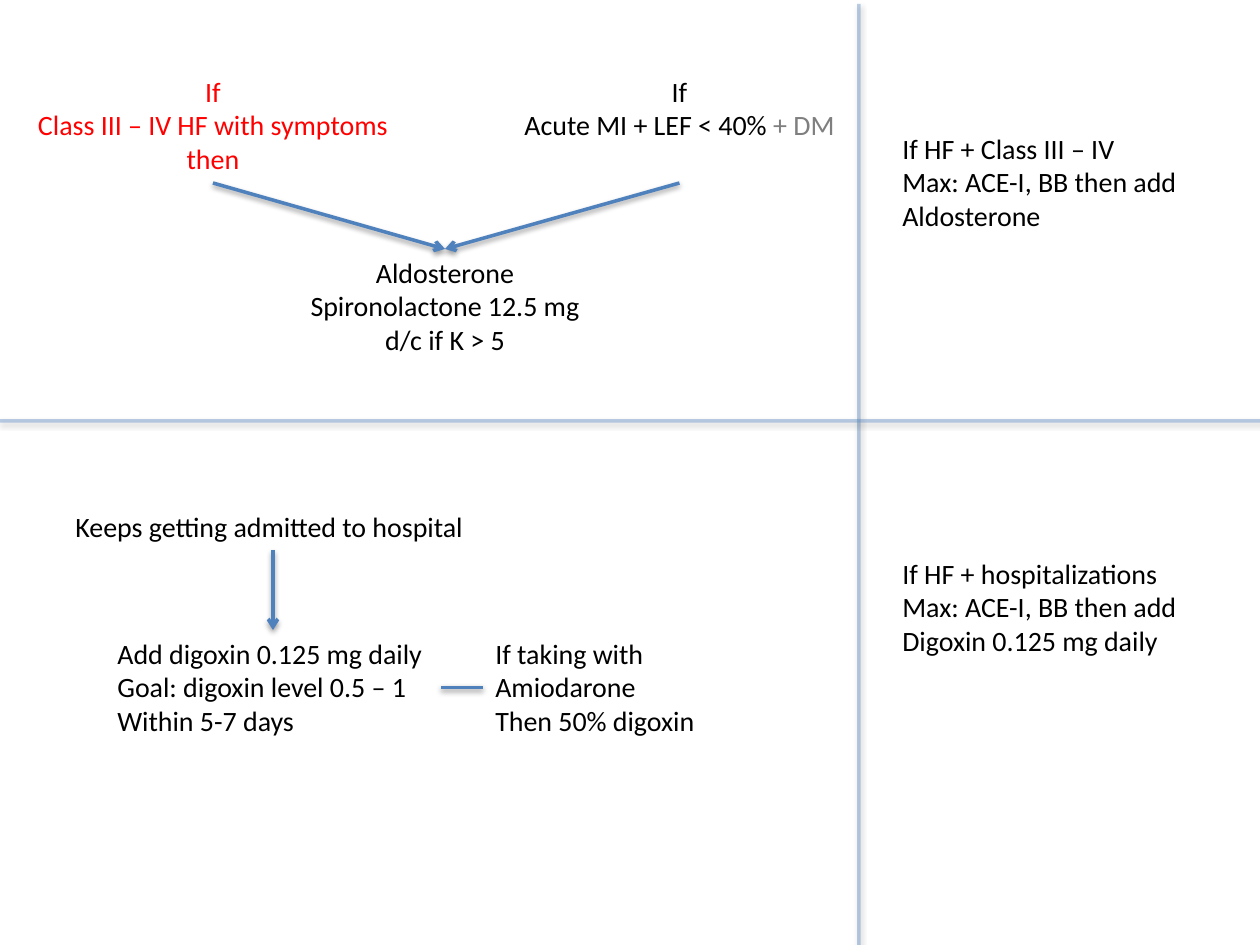
from lxml import etree
from pptx import Presentation, util as u
from pptx.dml.color import RGBColor
from pptx.enum import shapes, text
from pptx.oxml import parse_xml
from pptx.oxml.ns import nsdecls, qn

PX = 914400 / 126
TOP, LEFT, BOTTOM, RIGHT = 0, 1, 2, 3
BLACK, RED, GREY, BLUE = "000000", "FF0000", "7F7F7F", "4F81BD"
SHADOW = (
    f'<a:effectLst {nsdecls("a")}>'
    '<a:outerShdw blurRad="40000" dist="20000" dir="5400000" rotWithShape="0">'
    '<a:srgbClr val="000000"><a:alpha val="38000"/></a:srgbClr>'
    '</a:outerShdw></a:effectLst>'
)


def px(n):
    return u.Emu(round(n * PX))


def rgb(value):
    return RGBColor.from_string(value)


class Board:
    """Holds the text and line style together with the current slide."""

    font = {"name": "Calibri", "size": u.Pt(16)}
    line_width = u.Pt(2)

    def __init__(self, slide):
        self.s = slide

    def note(self, x, y, w, h, lines, color=BLACK, centered=False, fit=True):
        """Add a text box; each line is a list of strings or (string, colour)."""
        sp = self.s.shapes.add_textbox(px(x), px(y), px(w), px(h))
        tf = sp.text_frame
        tf.word_wrap = False
        sizes = text.MSO_AUTO_SIZE
        tf.auto_size = sizes.SHAPE_TO_FIT_TEXT if fit else sizes.NONE
        for i, line in enumerate(lines):
            p = tf.paragraphs[0] if i == 0 else tf.add_paragraph()
            p.alignment = text.PP_ALIGN.CENTER if centered else text.PP_ALIGN.LEFT
            for part in [line] if isinstance(line, str) else line:
                words, tint = (part, color) if isinstance(part, str) else part
                r = p.add_run()
                r.text = words
                for key, value in self.font.items():
                    setattr(r.font, key, value)
                r.font.color.rgb = rgb(tint)
        return sp

    def line(self, x1=0, y1=0, x2=0, y2=0):
        """Add a blue line with a soft shadow."""
        c = self.s.shapes.add_connector(
            shapes.MSO_CONNECTOR.STRAIGHT, px(x1), px(y1), px(x2), px(y2))
        c.line.width = self.line_width
        c.line.color.rgb = rgb(BLUE)
        c._element.spPr.append(parse_xml(SHADOW))
        return c

    def divider(self, x1, y1, x2, y2):
        """Add a pale line between two parts of the slide."""
        c = self.line(x1, y1, x2, y2)
        clr = c.line._ln.find(".//" + qn("a:srgbClr"))
        etree.SubElement(clr, qn("a:alpha")).set("val", "38000")

    def link(self, start, start_side, end, end_side, arrow=True):
        """Join two text boxes, side to side."""
        c = self.line()
        c.begin_connect(start, start_side)
        c.end_connect(end, end_side)
        if arrow:
            etree.SubElement(c.line._ln, qn("a:tailEnd")).set("type", "arrow")


def main():
    prs = Presentation()
    prs.slide_width, prs.slide_height = px(1260), px(945)
    board = Board(prs.slides.add_slide(prs.slide_layouts[6]))

    # Dividers
    board.divider(859, 4, 859, 949)
    board.divider(1264, 421, 0, 421)

    # Aldosterone pathway
    symptoms = board.note(
        23, 68, 380, 115, ["If", "Class III – IV HF with symptoms", "then"],
        color=RED, centered=True)
    acute_mi = board.note(
        510, 68, 339, 115, ["If", ["Acute MI + LEF < 40% ", ("+ DM", GREY)]],
        centered=True, fit=False)
    aldosterone = board.note(
        296, 249, 298, 115,
        ["Aldosterone", "Spironolactone 12.5 mg", "d/c if K > 5"], centered=True)
    for cause in (symptoms, acute_mi):
        board.link(cause, BOTTOM, aldosterone, TOP)

    # Digoxin pathway
    admitted = board.note(63, 503, 420, 47, ["Keeps getting admitted to hospital"])
    digoxin = board.note(
        105, 630, 336, 115,
        ["Add digoxin 0.125 mg daily", "Goal: digoxin level 0.5 – 1",
         "Within 5-7 days"])
    amiodarone = board.note(
        483, 630, 228, 115, ["If taking with", "Amiodarone", "Then 50% digoxin"])
    board.link(admitted, BOTTOM, digoxin, TOP)
    board.link(digoxin, RIGHT, amiodarone, LEFT, arrow=False)

    # Summaries on the right
    for y, condition, drug in (
        (125, "Class III – IV", "Aldosterone"),
        (550, "hospitalizations", "Digoxin 0.125 mg daily"),
    ):
        board.note(890, y, 304, 115,
                   [f"If HF + {condition}", "Max: ACE-I, BB then add", drug])

    prs.save("out.pptx")


if __name__ == "__main__":
    main()
